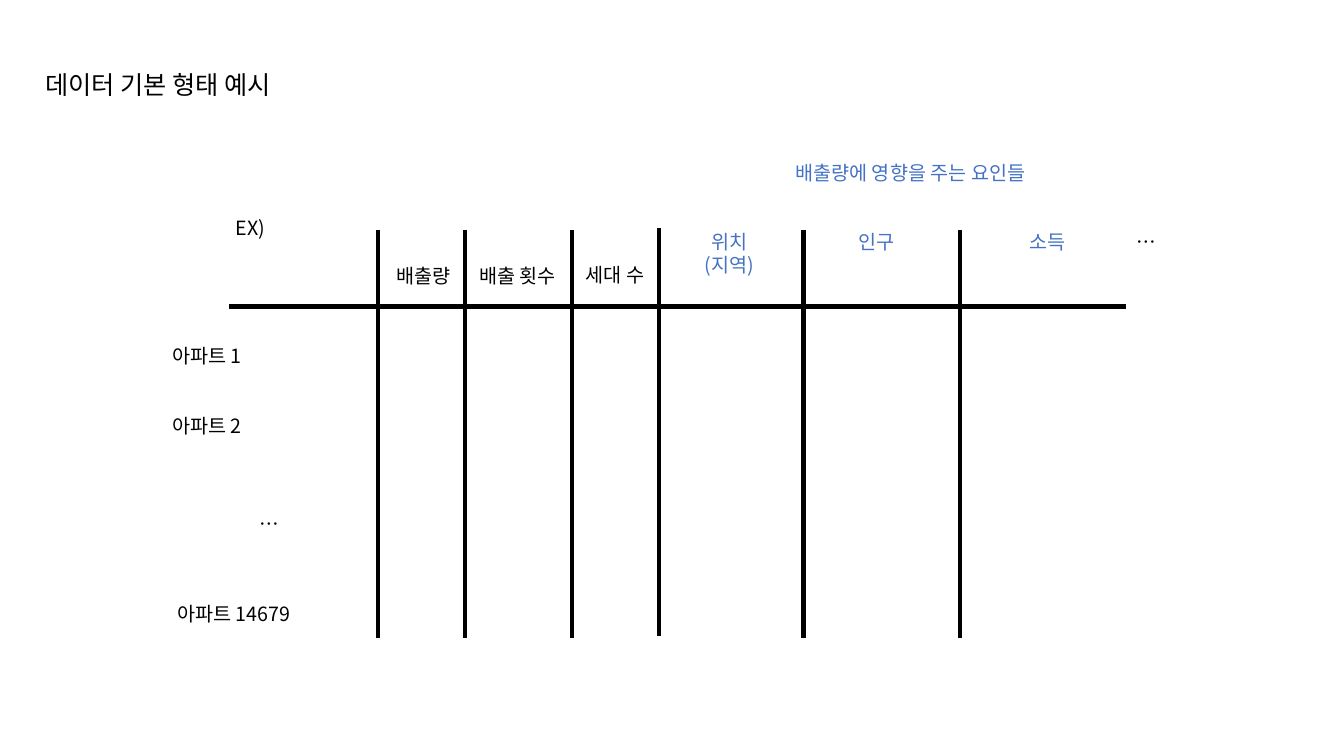
from pptx import Presentation
from pptx import util as u
from pptx.dml import color
from pptx.enum import shapes, text
from pptx.oxml import ns
from lxml import etree

FONT = "Noto Sans CJK KR"
BLACK, BLUE = "000000", "4472C4"
LEFT, CENTER = text.PP_ALIGN.LEFT, text.PP_ALIGN.CENTER

# Divider positions: x and top
DIVIDERS = [(3.75, 2.28), (4.61, 2.28), (5.67, 2.28),
            (6.54, 2.26), (7.97, 2.28), (9.52, 2.28)]
DIVIDER_LENGTH = 4.05
HEADER_LINE = (2.27, 3.04, 11.17, 3.04)

# Labels: wording, left, top, width, alignment, colour
COLUMN_LABELS = [
    ("배출량", 3.8, 2.57, 0.8, CENTER, BLACK),
    ("배출 횟수", 4.59, 2.57, 1.09, CENTER, BLACK),
    ("세대 수", 5.71, 2.56, 0.83, LEFT, BLACK),
    ("위치\n(지역)", 6.82, 2.23, 0.83, CENTER, BLUE),
    ("인구", 8.42, 2.23, 0.83, LEFT, BLUE),
    ("소득", 10.11, 2.23, 0.83, LEFT, BLUE),
    ("…", 11.17, 2.23, 1.07, LEFT, BLACK),
]
ROW_LABELS = [
    ("EX)", 2.24, 2.09, 1.51, LEFT, BLACK),
    ("아파트 1", 1.61, 3.36, 2.14, LEFT, BLACK),
    ("아파트 2", 1.61, 4.06, 2.14, LEFT, BLACK),
    ("…", 2.48, 5.03, 0.7, LEFT, BLACK),
    ("아파트 14679", 1.66, 5.92, 2.14, LEFT, BLACK),
]
FACTORS_LABEL = ("배출량에 영향을 주는 요인들", 7.4, 1.55, 3.26, CENTER, BLUE)
TITLE = ("데이터 기본 형태 예시", 0.35, 0.64, 6.66, LEFT, BLACK)


def rgb(value):
    return color.RGBColor.from_string(value)


def set_all(target, values):
    for name, value in values.items():
        setattr(target, name, value)


def add_line(page, x1, y1, x2, y2):
    line = page.shapes.add_connector(
        shapes.MSO_CONNECTOR.STRAIGHT, *map(u.Inches, (x1, y1, x2, y2)))
    line.line.width = u.Pt(3)
    line.line.color.rgb = rgb(BLACK)
    properties = line._element.spPr
    etree.SubElement(properties, ns.qn("a:effectLst"))


def add_label(page, wording, left, top, width, align, ink, size=14):
    lines = wording.split("\n")
    height = 0.1 + len(lines) * size / 60
    box = page.shapes.add_textbox(*map(u.Inches, (left, top, width, height)))
    frame = box.text_frame
    set_all(frame, {"word_wrap": True,
                    "auto_size": text.MSO_AUTO_SIZE.SHAPE_TO_FIT_TEXT})
    frame.text = wording
    for para in frame.paragraphs:
        para.alignment = align
        for span in para.runs:
            set_all(span.font, {"name": FONT, "size": u.Pt(size)})
            span.font.color.rgb = rgb(ink)
            # Korean letters take the East Asian font
            east_asian = etree.SubElement(span._r.rPr, ns.qn("a:ea"))
            east_asian.set("typeface", FONT)


def main():
    deck = Presentation()
    set_all(deck, {"slide_width": u.Inches(13.33),
                   "slide_height": u.Inches(7.5)})
    page = deck.slides.add_slide(deck.slide_layouts[6])

    # Open grid
    for x, top in DIVIDERS:
        add_line(page, x, top, x, top + DIVIDER_LENGTH)
    add_line(page, *HEADER_LINE)

    # Labels and title
    for label in COLUMN_LABELS + ROW_LABELS + [FACTORS_LABEL]:
        add_label(page, *label)
    add_label(page, *TITLE, size=18)

    deck.save("out.pptx")


if __name__ == "__main__":
    main()
